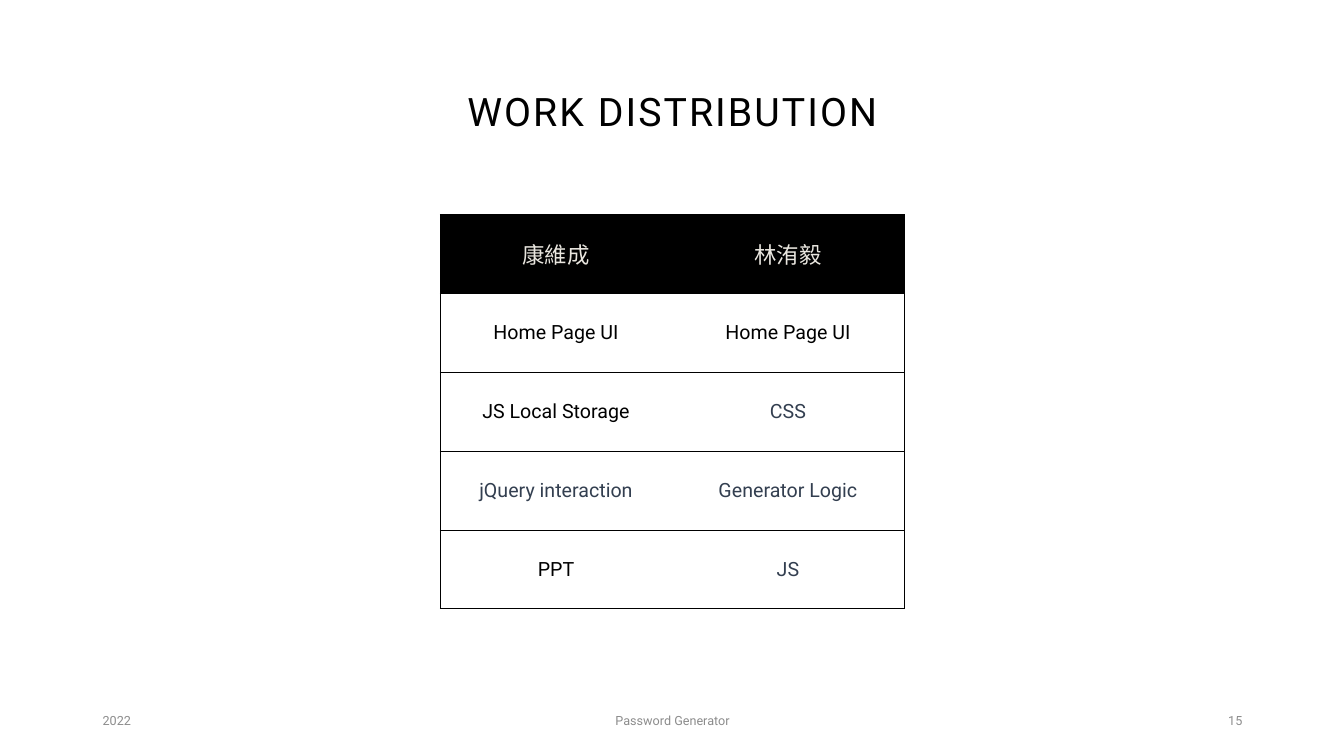
from lxml.etree import SubElement as Sub
from pptx import Presentation
from pptx.dml.color import RGBColor as RGB
from pptx.enum.text import MSO_ANCHOR as Anchor, PP_ALIGN as Align
from pptx.oxml.ns import qn
from pptx.util import Inches, Pt

WIDE, HIGH = 13.33, 7.5
FACE = "Roboto"
HUES = {"black": "000000", "white": "FFFFFF", "cream": "E9E6DF",
        "slate": "333F50", "gray": "8C8C8C"}
HEADS = ["康維成", "林洧毅"]
TASKS = [
    [("Home Page UI", "black"), ("Home Page UI", "black")],
    [("JS Local Storage", "black"), ("CSS", "slate")],
    [("jQuery interaction", "slate"), ("Generator Logic", "slate")],
    [("PPT", "black"), ("JS", "slate")],
]


def style(para, text, size, hue, align):
    para.text = text
    para.alignment = align
    font = para.font
    font.name, font.size = FACE, Pt(size)
    font.color.rgb = RGB.from_string(HUES[hue])


def label(slide, box, text, size, hue, align):
    frame = slide.shapes.add_textbox(*map(Inches, box)).text_frame
    frame.word_wrap = True
    frame.vertical_anchor = Anchor.MIDDLE
    para = frame.paragraphs[0]
    style(para, text, size, hue, align)
    return para


def title(slide, box):
    para = label(slide, box, "WORK DISTRIBUTION", 28, "black", Align.CENTER)
    para.line_spacing = 0.9
    para.runs[0].font._element.set("spc", "150")


def border(cell, side, shown):
    line = Sub(cell._tc.get_or_add_tcPr(), qn("a:ln" + side),
               w=str(Pt(0.5)) if shown else "0")
    if shown:
        fill = Sub(line, qn("a:solidFill"))
        Sub(fill, qn("a:srgbClr"), val=HUES["black"])
    else:
        Sub(line, qn("a:noFill"))


def duties(slide, box):
    rows = [[(name, "cream") for name in HEADS]] + TASKS
    count, last = len(rows), len(HEADS) - 1
    left, top, width, height = box
    table = slide.shapes.add_table(count, last + 1, *map(Inches, box)).table
    table.first_row = table.horz_banding = False
    for col in table.columns:
        col.width = Inches(width / (last + 1))
    for r, row in enumerate(rows):
        table.rows[r].height = Inches(height / count)
        for c, (text, hue) in enumerate(row):
            cell = table.cell(r, c)
            cell.vertical_anchor = Anchor.MIDDLE
            style(cell.text_frame.paragraphs[0], text,
                  14 if r else 16, hue, Align.CENTER)
            for side, shown in (("L", c == 0), ("R", c == last),
                                ("T", True), ("B", True)):
                border(cell, side, shown)
            cell.fill.solid()
            cell.fill.fore_color.rgb = RGB.from_string(
                HUES["white" if r else "black"])


def footer(slide, box):
    left, top, width, height = box
    side, mid = 3, 4.5
    parts = [
        (left, side, "2022", Align.LEFT),
        (left + (width - mid) / 2, mid, "Password Generator", Align.CENTER),
        (left + width - side, side, "15", Align.RIGHT),
    ]
    for x, wide, text, align in parts:
        label(slide, (x, top, wide, height), text, 9, "gray", align)


def main():
    deck = Presentation()
    deck.slide_width, deck.slide_height = Inches(WIDE), Inches(HIGH)
    slide = deck.slides.add_slide(deck.slide_layouts[6])
    edge, span = 0.92, 11.5
    title(slide, (edge, 0.4, span, 1.45))
    duties(slide, ((WIDE - 4.6) / 2, 2.13, 4.6, 3.91))
    footer(slide, (edge, 6.95, span, 0.4))
    deck.save("out.pptx")


if __name__ == "__main__":
    main()
